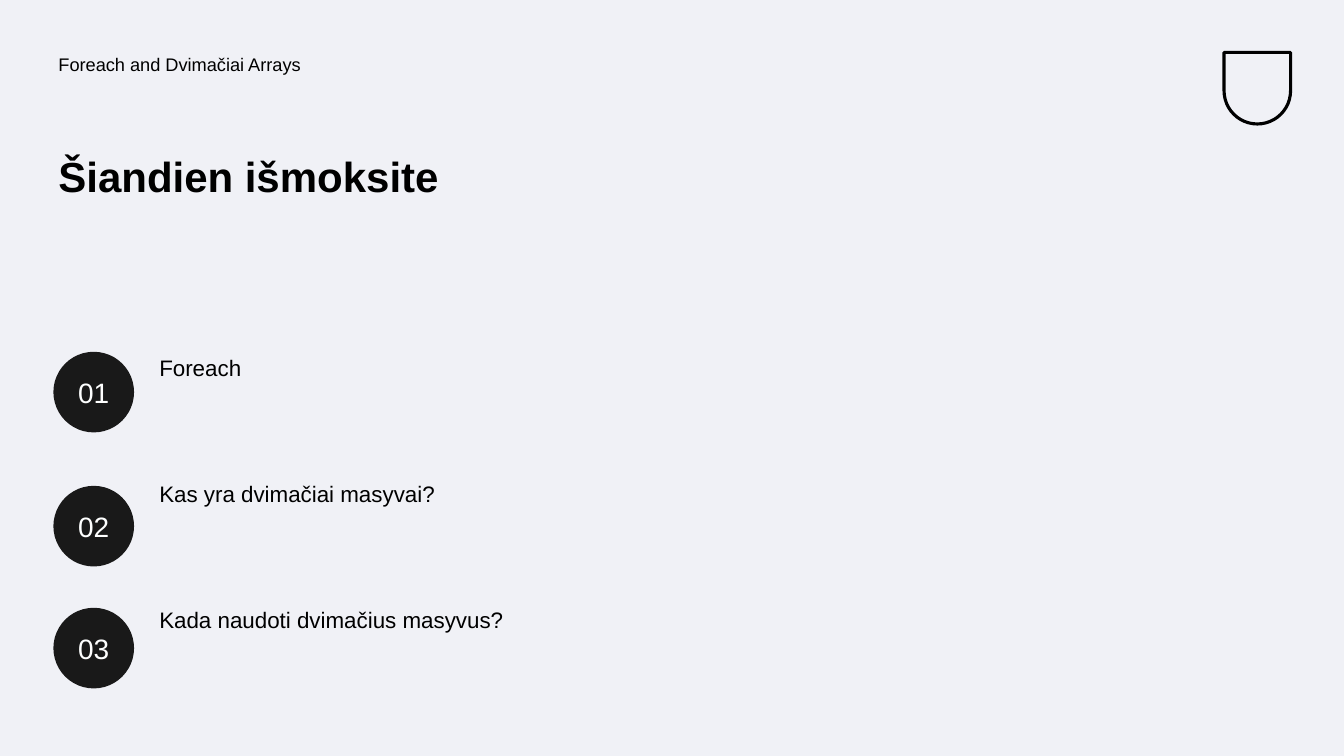
from dataclasses import dataclass

from pptx import Presentation
from pptx.dml.color import RGBColor
from pptx.enum.shapes import MSO_SHAPE as SHAPE
from pptx.enum.text import MSO_ANCHOR as ANCHOR, PP_ALIGN as ALIGN
from pptx.util import Inches, Pt


@dataclass(frozen=True)
class Theme:
    font: str = "Arial"
    background: RGBColor = RGBColor(0xF0, 0xF1, 0xF6)
    ink: RGBColor = RGBColor(0, 0, 0)
    badge: RGBColor = RGBColor(0x19, 0x19, 0x19)
    badge_text: RGBColor = RGBColor(0xFE, 0xFF, 0xFF)
    header_size: int = 13
    title_size: int = 30
    topic_size: int = 16
    number_size: int = 20


THEME = Theme()
# Each topic with the offset of its badge from the top of the list
TOPICS = [
    ("Foreach", 0),
    ("Kas yra dvimačiai masyvai?", 1.33),
    ("Kada naudoti dvimačius masyvus?", 2.54),
]
TOPIC_STEP = 1.25
TOPIC_INDENT = 1
TOPIC_HEIGHT = 0.99
BADGE_SIZE = 0.8


def set_text(sp, text, size, color, bold=False):
    tf = sp.text_frame
    tf.margin_left = tf.margin_right = Inches(0.05)
    tf.margin_top = tf.margin_bottom = Inches(0.05)
    p = tf.paragraphs[0]
    p.text = text
    p.font.name = THEME.font
    p.font.size = Pt(size)
    p.font.bold = bold
    p.font.color.rgb = color
    return tf


def add_text(slide, box, text, size, bold=False):
    sp = slide.shapes.add_textbox(*map(Inches, box))
    tf = set_text(sp, text, size, THEME.ink, bold)
    tf.word_wrap = True
    tf.paragraphs[0].line_spacing = 0.9


def add_emblem(slide, box):
    """A plain shield outline, rounded at the bottom."""
    sp = slide.shapes.add_shape(SHAPE.ROUND_2_SAME_RECTANGLE, *map(Inches, box))
    sp.adjustments[0] = 0.5
    sp.rotation = 180
    sp.shadow.inherit = False
    sp.fill.background()
    sp.line.color.rgb = THEME.ink
    sp.line.width = Pt(2.25)


def add_badge(slide, left, top, number):
    sp = slide.shapes.add_shape(
        SHAPE.OVAL, *map(Inches, (left, top, BADGE_SIZE, BADGE_SIZE)))
    sp.shadow.inherit = False
    sp.fill.solid()
    sp.fill.fore_color.rgb = THEME.badge
    sp.line.fill.background()
    tf = set_text(sp, f"{number:02d}", THEME.number_size, THEME.badge_text)
    tf.word_wrap = False
    tf.vertical_anchor = ANCHOR.MIDDLE
    tf.paragraphs[0].alignment = ALIGN.CENTER


def add_topics(slide, left, top, width):
    for i, (topic, badge_offset) in enumerate(TOPICS):
        box = (left + TOPIC_INDENT, top + i * TOPIC_STEP,
               width - TOPIC_INDENT, TOPIC_HEIGHT)
        add_text(slide, box, topic, THEME.topic_size)
        add_badge(slide, left, top + badge_offset, i + 1)


def add_agenda_slide(prs):
    slide = prs.slides.add_slide(prs.slide_layouts[6])
    slide.background.fill.solid()
    slide.background.fill.fore_color.rgb = THEME.background

    # Header and title
    add_emblem(slide, (12.14, 0.52, 0.66, 0.71))
    add_text(slide, (0.53, 0.5, 6.14, 0.5),
             "Foreach and Dvimačiai Arrays", THEME.header_size)
    add_text(slide, (0.53, 1.5, 5.64, 1.49),
             "Šiandien išmoksite", THEME.title_size, bold=True)

    # Numbered topics
    add_topics(slide, 0.53, 3.49, 5.63)


def main():
    prs = Presentation()
    prs.slide_width = Inches(13.33)
    prs.slide_height = Inches(7.5)
    add_agenda_slide(prs)
    prs.save("out.pptx")


if __name__ == "__main__":
    main()
